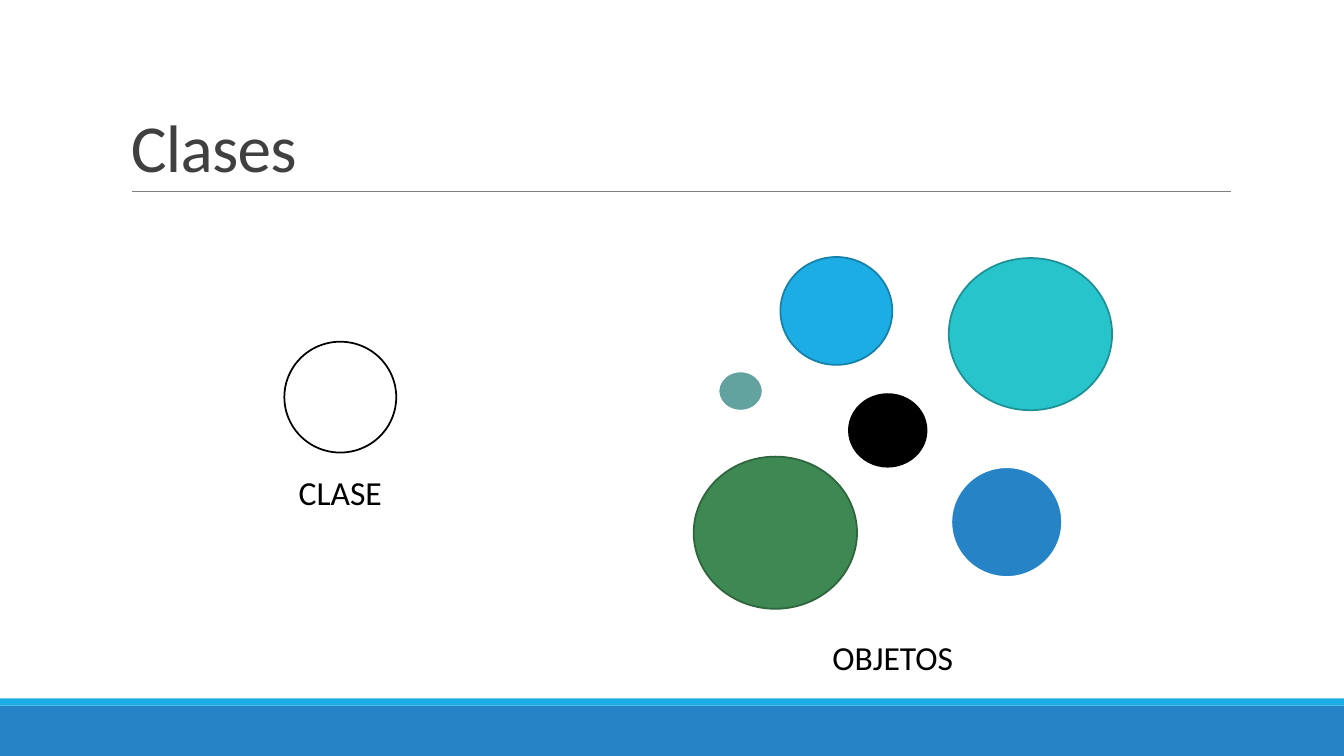
"""Build the slide that contrasts a class with its objects."""
from dataclasses import dataclass

from lxml.etree import SubElement
from pptx import Presentation
from pptx.dml.color import RGBColor
from pptx.enum.shapes import MSO_CONNECTOR, MSO_SHAPE
from pptx.enum.text import MSO_ANCHOR, PP_ALIGN
from pptx.oxml.ns import qn
from pptx.util import Inches, Pt


@dataclass(frozen=True)
class Theme:
    """Colours, font and sizes of the slide."""
    font: str = "Calibri"
    title_size: float = 48
    label_size: float = 24
    thin: float = 0.5
    outline: float = 1.25
    halo: float = 2
    white: str = "FFFFFF"
    black: str = "000000"
    heading: str = "404040"
    rule: str = "808080"
    sky: str = "1CADE4"
    sky_edge: str = "1580A9"
    blue: str = "2683C6"
    teal: str = "28C4CC"
    teal_edge: str = "1E9197"
    green: str = "3E8853"
    green_edge: str = "2E653D"
    sage: str = "62A39F"


def write_text(frame, text, *, font, size, color, align=PP_ALIGN.LEFT,
               anchor=MSO_ANCHOR.TOP, line_spacing=None, tracking=None):
    """Put one formatted paragraph into a text frame."""
    frame.word_wrap = True
    frame.vertical_anchor = anchor
    paragraph = frame.paragraphs[0]
    paragraph.alignment = align
    paragraph.line_spacing = line_spacing
    run = paragraph.add_run()
    run.text = text
    run.font.name = font
    run.font.size = Pt(size)
    run.font.color.rgb = RGBColor.from_string(color)
    if tracking is not None:
        run.font._element.set("spc", str(round(tracking * 100)))


class SlideBuilder:
    """Draw themed elements on the current slide."""

    def __init__(self, slide, theme):
        """Keep the slide and its theme."""
        self.slide = slide
        self.theme = theme

    def shape(self, preset, box, fill, edge=None, width=None):
        """Add a filled preset shape with an optional outline."""
        item = self.slide.shapes.add_shape(preset, *map(Inches, box))
        item.shadow.inherit = False
        item.fill.solid()
        item.fill.fore_color.rgb = RGBColor.from_string(fill)
        if edge is None:
            item.line.fill.background()
        else:
            item.line.color.rgb = RGBColor.from_string(edge)
            item.line.width = Pt(width or self.theme.outline)

    def band(self, top, height, fill):
        """Add a band across the full slide width."""
        self.shape(MSO_SHAPE.RECTANGLE, (0, top, 13.33, height), fill)

    def circle(self, box, fill, edge, width=None):
        """Add an outlined ellipse."""
        self.shape(MSO_SHAPE.OVAL, box, fill, edge, width)

    def rule(self, left, right, y):
        """Add a thin horizontal line."""
        line = self.slide.shapes.add_connector(
            MSO_CONNECTOR.STRAIGHT, *map(Inches, (left, y, right, y)))
        line.line.color.rgb = RGBColor.from_string(self.theme.rule)
        line.line.width = Pt(self.theme.thin)
        SubElement(line._element.spPr, qn("a:effectLst"))

    def text(self, box, text, **style):
        """Add a text box in the theme font."""
        item = self.slide.shapes.add_textbox(*map(Inches, box))
        write_text(item.text_frame, text, font=self.theme.font, **style)

    def title(self, text):
        """Add the slide heading."""
        self.text((1.2, 0.31, 11, 1.59), text, size=self.theme.title_size,
                  color=self.theme.heading, anchor=MSO_ANCHOR.BOTTOM,
                  line_spacing=0.85, tracking=-0.5)

    def label(self, left, top, text):
        """Add a centred caption."""
        self.text((left, top, 1.97, 0.5), text, size=self.theme.label_size,
                  color=self.theme.black, align=PP_ALIGN.CENTER)


def main():
    """Compose and save the slide."""
    deck = Presentation()
    deck.slide_width, deck.slide_height = Inches(13.33), Inches(7.5)
    theme = Theme()
    builder = SlideBuilder(deck.slides.add_slide(deck.slide_layouts[6]), theme)

    builder.band(7, 0.5, theme.blue)
    builder.band(6.93, 0.07, theme.sky)
    builder.rule(1.31, 12.21, 1.9)
    builder.title("Clases")

    builder.circle((2.82, 3.39, 1.11, 1.1), theme.white, theme.black)
    objects = (
        ((8.42, 3.91, 0.77, 0.72), theme.black, theme.black, theme.outline),
        ((6.88, 4.53, 1.62, 1.51), theme.green, theme.green_edge, theme.outline),
        ((9.43, 4.63, 1.11, 1.1), theme.blue, theme.white, theme.halo),
        ((7.12, 3.68, 0.45, 0.4), theme.sage, theme.white, theme.halo),
        ((7.74, 2.55, 1.11, 1.07), theme.sky, theme.sky_edge, theme.outline),
        ((9.41, 2.56, 1.62, 1.51), theme.teal, theme.teal_edge, theme.outline),
    )
    for box, fill, edge, width in objects:
        builder.circle(box, fill, edge, width)

    builder.label(2.39, 4.63, "CLASE")
    builder.label(7.87, 6.27, "OBJETOS")
    deck.save("out.pptx")


main()
